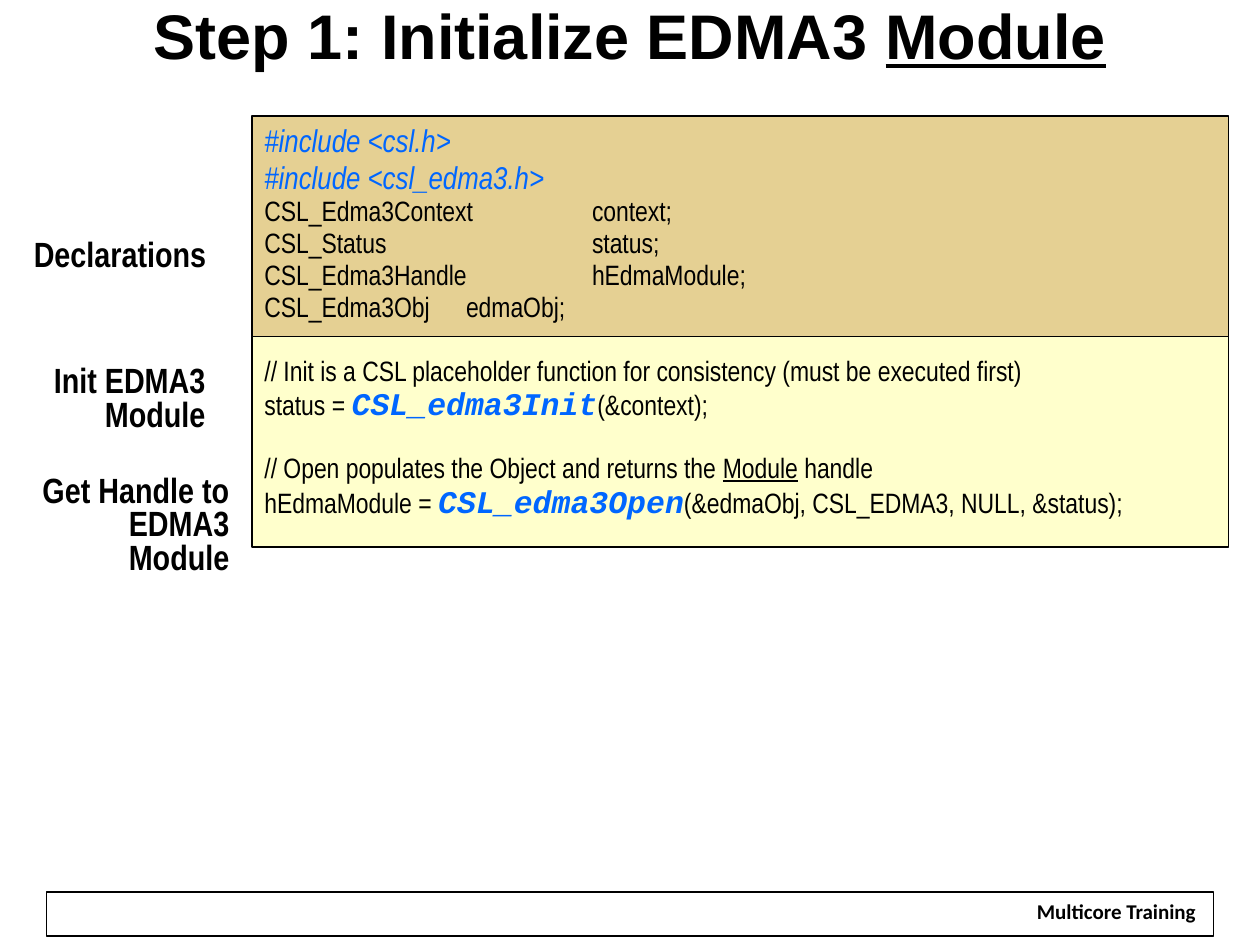
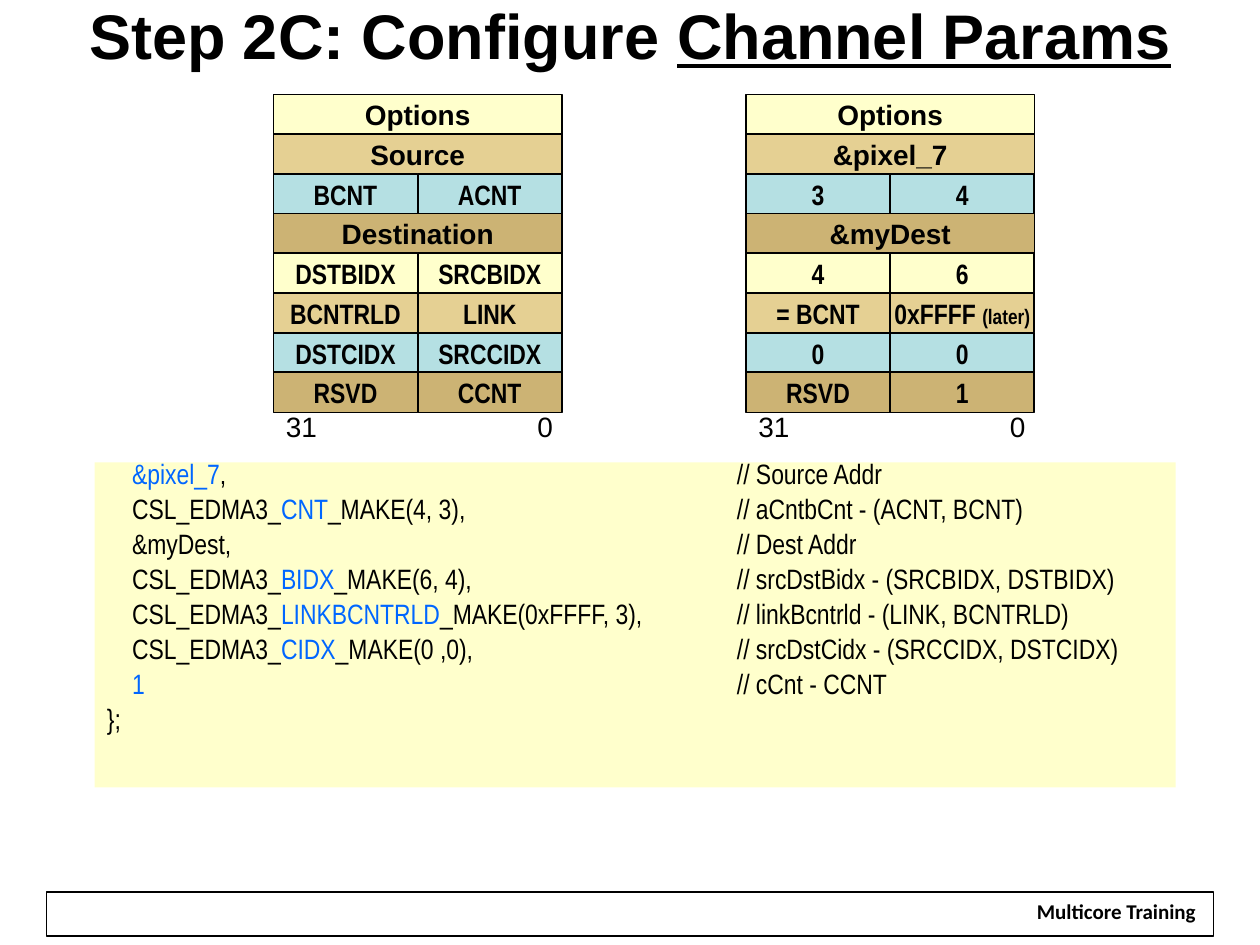
from lxml import etree
from pptx import Presentation
from pptx.dml.color import RGBColor
from pptx.enum.shapes import MSO_SHAPE
from pptx.enum.text import MSO_ANCHOR, MSO_AUTO_SIZE, PP_ALIGN
from pptx.oxml.ns import qn
from pptx.util import Inches, Pt

RECT = MSO_SHAPE.RECTANGLE
TOP, MIDDLE = MSO_ANCHOR.TOP, MSO_ANCHOR.MIDDLE
LEFT, CENTER, RIGHT = PP_ALIGN.LEFT, PP_ALIGN.CENTER, PP_ALIGN.RIGHT
FIXED = MSO_AUTO_SIZE.NONE

HUES = {
    "ink": "000000", "paper": "FFFFFF", "link": "0066FF",
    "cream": "FFFFCC", "tan": "E5D093", "blue": "B5E0E3", "gold": "CCB374",
}
SANS, SLIM, MONO, FOOT = "Arial", "Arial Narrow", "Courier New", "Calibri"
ROWS = ["cream", "tan", "blue", "gold"]
PAD = (0.1, 0.05, 0.1, 0.05)

LINK = {"hue": "link"}
HEAD = {"hue": "link", "size": 18, "italic": True}
CALL = {**HEAD, "font": MONO, "bold": True}
LINE = {"under": True}


class Deck:
    def __init__(self):
        self.prs = Presentation()
        self.prs.slide_width, self.prs.slide_height = Inches(10), Inches(7.5)

    def start(self, runs):
        self.slide = self.prs.slides.add_slide(self.prs.slide_layouts[5])
        self.home = self.slide.shapes
        title = self.slide.shapes.title
        title.left, title.top = Inches(0), Inches(0.06)
        title.width, title.height = Inches(10), Inches(0.67)
        self.frame(title, TOP, (0.05,) * 4)
        self.para(title, runs, size=36, bold=True, align=CENTER, lead=0.75)
        self.box(0.37, 7.08, 9.26, 0.35, edge=0.75)
        mark = self.box(8.12, 7.12, 1.48, 0.26, "paper")
        self.frame(mark, wrap=False)
        self.para(mark, "Multicore Training", font=FOOT, size=12, bold=True,
                  align=CENTER, lead=0.8)

    def box(self, x, y, w, h, fill=None, edge=0):
        shape = self.home.add_shape(RECT, Inches(x), Inches(y), Inches(w), Inches(h))
        shape.shadow.inherit = False
        if fill:
            shape.fill.solid()
            shape.fill.fore_color.rgb = RGBColor.from_string(HUES[fill])
        else:
            shape.fill.background()
        if edge:
            shape.line.color.rgb = RGBColor.from_string(HUES["ink"])
            shape.line.width = Pt(edge)
        else:
            shape.line.fill.background()
        return shape

    def area(self, x, y, w, h, anchor=TOP, pad=PAD):
        shape = self.home.add_textbox(Inches(x), Inches(y), Inches(w), Inches(h))
        self.frame(shape, anchor, pad)
        return shape

    def frame(self, shape, anchor=TOP, pad=PAD, wrap=True):
        frame = shape.text_frame
        frame.auto_size, frame.word_wrap = FIXED, wrap
        frame.vertical_anchor = anchor
        (frame.margin_left, frame.margin_top,
         frame.margin_right, frame.margin_bottom) = map(Inches, pad)

    def para(self, shape, runs, font=SANS, size=16, bold=False, align=LEFT,
             lead=1.0, gap=0, tabs=()):
        frame = shape.text_frame
        para = frame.paragraphs[0]
        if para.runs:
            para = frame.add_paragraph()
        para.alignment, para.line_spacing = align, lead
        para.space_before = Pt(gap)
        if tabs:
            stops = etree.SubElement(para._p.get_or_add_pPr(), qn("a:tabLst"))
            for place, side in tabs:
                etree.SubElement(stops, qn("a:tab"), pos=str(Inches(place)), algn=side)
        base = {"font": font, "size": size, "bold": bold}
        for item in [runs] if isinstance(runs, str) else runs:
            text, look = (item, {}) if isinstance(item, str) else item
            for i, part in enumerate(text.split("\n")):
                if i:
                    para.add_line_break()
                self.run(para, part, **{**base, **look})

    def run(self, para, text, font, size, bold, hue="ink", italic=False, under=False):
        run = para.add_run()
        run.text = text
        face = run.font
        face.name, face.size, face.bold = font, Pt(size), bold
        face.italic, face.underline = italic, under
        face.color.rgb = RGBColor.from_string(HUES[hue])

    def label(self, x, y, w, h, text, align=RIGHT):
        self.para(self.area(x, y, w, h), text, font=SLIM, size=20, bold=True,
                  align=align, lead=0.8)

    def cell(self, x, y, w, fill, runs, font):
        shape = self.box(x, y, w, 0.32, fill, 1)
        self.frame(shape, MIDDLE, wrap=False)
        self.para(shape, runs, font=font, bold=True, align=CENTER)

    def grid(self, x, rows):
        self.home = self.slide.shapes.add_group_shape().shapes
        for i, row in enumerate(rows):
            wide = 2.29 / len(row)
            for j, runs in enumerate(row):
                self.cell(x + j * wide, 0.75 + i * 0.315, wide, ROWS[i % len(ROWS)],
                          runs, SANS if len(row) == 1 else SLIM)
        bits = self.area(x, 3.25, 2.29, 0.32, MIDDLE, (0.1, 0, 0.05, 0.05))
        self.para(bits, "31\t0", tabs=[(2.12, "r")])
        self.home = self.slide.shapes


deck = Deck()

deck.start(["Step 1: Initialize EDMA3 ", ("Module", LINE)])
deck.box(2, 2.67, 7.75, 1.67, "cream", 1)
deck.box(2, 0.92, 7.75, 1.75, "tan", 1)
code = deck.area(2, 1.02, 7.75, 3.32)
STEP, SKIP = 6.8, 24.7
for runs, gap, stop in [
    ([("#include <csl.h>", HEAD)], 7.7, 0),
    ([("#include <csl_edma3.h>", HEAD)], 7.7, 0),
    ("CSL_Edma3Context\tcontext;", STEP, 2.6),
    ("CSL_Status\tstatus;", STEP, 2.6),
    ("CSL_Edma3Handle\thEdmaModule;", STEP, 2.6),
    ("CSL_Edma3Obj\tedmaObj;", STEP, 1.6),
    ("// Init is a CSL placeholder function for consistency (must be executed first)",
     SKIP, 0),
    (["status = ", ("CSL_edma3Init", CALL), "(&context);"], STEP, 0),
    (["// Open populates the Object and returns the ", ("Module", LINE), " handle"],
     SKIP, 0),
    (["hEdmaModule = ", ("CSL_edma3Open", CALL),
      "(&edmaObj, CSL_EDMA3, NULL, &status);"], STEP, 0),
]:
    deck.para(code, runs, font=SLIM, lead=0.6, gap=gap,
              tabs=[(stop, "l")] if stop else ())
deck.label(0.17, 1.86, 1.63, 0.37, "Declarations", LEFT)
deck.label(0.2, 2.86, 1.53, 0.64, "Init EDMA3\nModule")
deck.label(0.06, 3.73, 1.86, 0.64, "Get Handle to\nEDMA3\nModule")

deck.start(["Step 2C: Configure ", ("Channel Params", LINE)])
code = deck.box(0.75, 3.67, 8.58, 2.58, "cream")
deck.frame(code)
for head, key, tail, note in [
    ("", "&pixel_7", ",", "Source Addr"),
    ("CSL_EDMA3_", "CNT", "_MAKE(4, 3),", "aCntbCnt - (ACNT, BCNT)"),
    ("&myDest,", "", "", "Dest Addr"),
    ("CSL_EDMA3_", "BIDX", "_MAKE(6, 4),", "srcDstBidx - (SRCBIDX, DSTBIDX)"),
    ("CSL_EDMA3_", "LINKBCNTRLD", "_MAKE(0xFFFF, 3),", "linkBcntrld - (LINK, BCNTRLD)"),
    ("CSL_EDMA3_", "CIDX", "_MAKE(0 ,0),", "srcDstCidx - (SRCCIDX, DSTCIDX)"),
    ("", "1", "", "cCnt - CCNT"),
]:
    runs = ["\t" + head] + ([(key, LINK)] if key else []) + [f"{tail}\t// {note}"]
    deck.para(code, runs, font=SLIM, lead=0.6, gap=8.5, tabs=[(0.2, "l"), (5, "l")])
deck.para(code, "};", font=SLIM, lead=0.6, gap=8.5)

deck.grid(2.17, [
    ["Options"], ["Source"], ["BCNT", "ACNT"], ["Destination"],
    ["DSTBIDX", "SRCBIDX"], ["BCNTRLD", "LINK"], ["DSTCIDX", "SRCCIDX"],
    ["RSVD", "CCNT"],
])
deck.grid(5.92, [
    ["Options"], ["&pixel_7"], ["3", "4"], ["&myDest"], ["4", "6"],
    ["= BCNT", ["0xFFFF ", ("(later)", {"size": 12})]], ["0", "0"], ["RSVD", "1"],
])

deck.prs.save("out.pptx")
